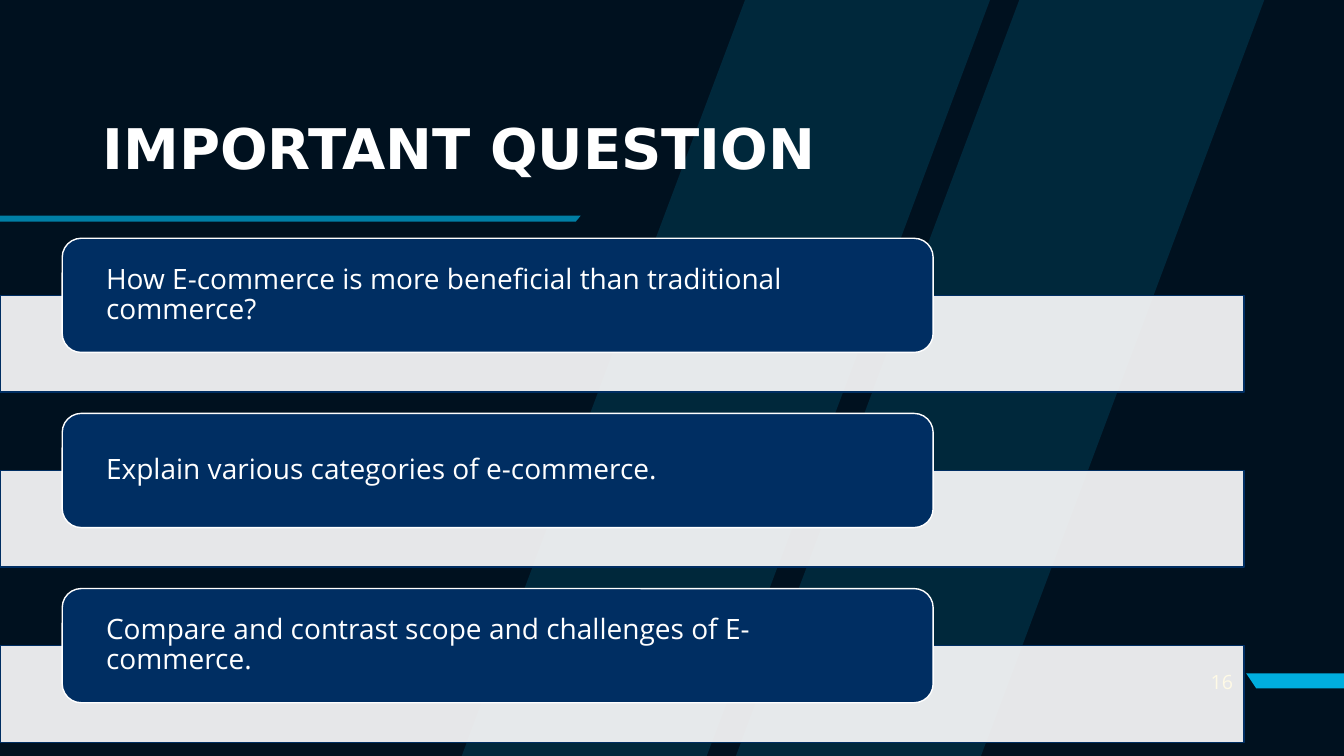
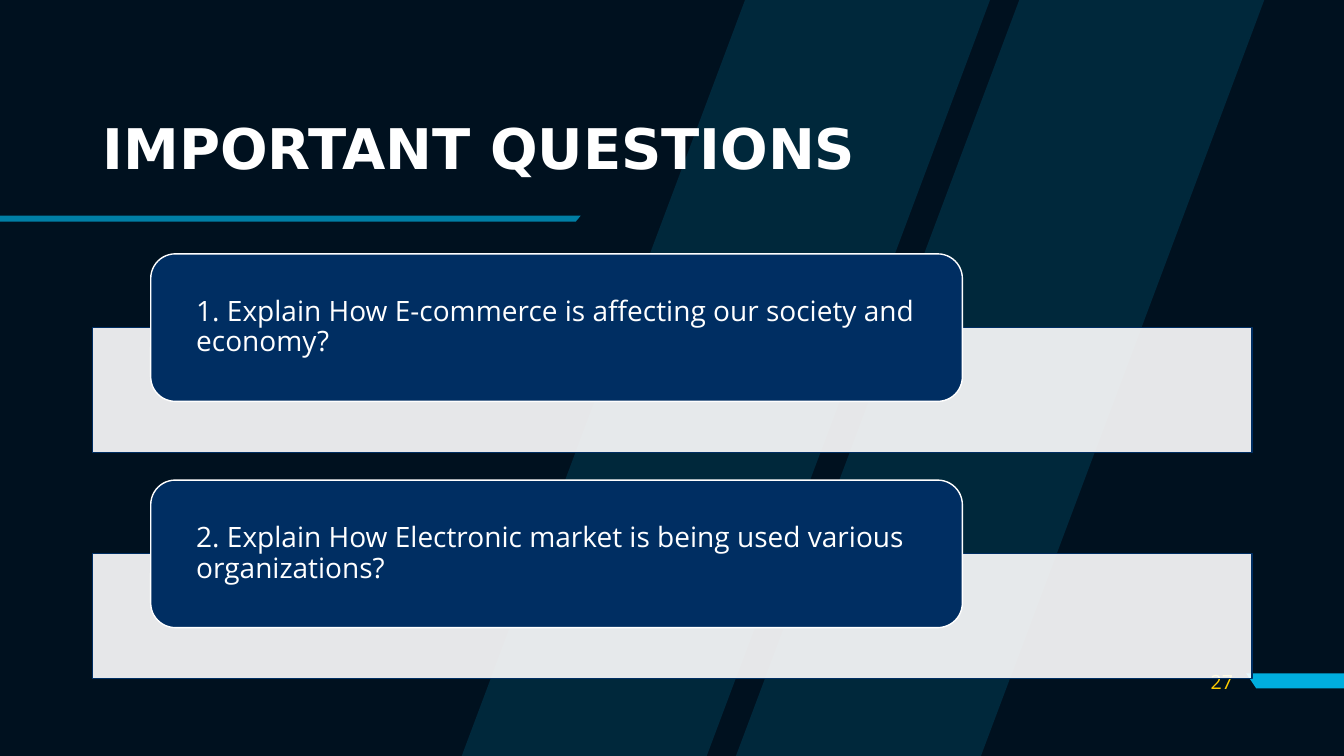
from lxml.etree import SubElement
from pptx import Presentation
from pptx.dml.color import RGBColor
from pptx.enum.shapes import MSO_SHAPE as SHAPE
from pptx.enum.text import MSO_ANCHOR as ANCHOR, MSO_AUTO_SIZE as AUTO, PP_ALIGN as ALIGN
from pptx.oxml.ns import qn
from pptx.util import Inches, Pt

NIGHT = RGBColor(0x00, 0x11, 0x1F)
CYAN = RGBColor(0x00, 0xAE, 0xDE)
NAVY = RGBColor(0x00, 0x2E, 0x62)
WHITE = RGBColor(0xFF, 0xFF, 0xFF)
YELLOW = RGBColor(0xFF, 0xCD, 0x00)

TITLE_FONT = {"name": "DejaVu Sans", "size": Pt(40), "bold": True}
BODY_FONT = {"name": "Open Sans", "size": Pt(20), "bold": False}
NUMBER_FONT = {"name": "Open Sans", "size": Pt(14), "bold": False}

STRIPES = [
    [(10.11, 0), (7.3, 7.5), (9.73, 7.5), (12.54, 0)],
    [(7.39, 0), (4.58, 7.5), (7.01, 7.5), (9.82, 0)],
]
NUMBER_TAB = [(13.34, 6.68), (13.34, 6.83), (12.46, 6.83), (12.36, 6.68)]
TITLE_RULE = [(0, 2.14), (0, 2.2), (5.71, 2.2), (5.76, 2.14)]

# Card and band proportions: heights relative to the band height,
# widths relative to the band width.
CARD_HEIGHT, CARD_RISE, ROW_PITCH = 1.18, 0.59, 1.81
CARD_INDENT, CARD_WIDTH = 0.05, 0.7

SLIDES = [
    {
        "title": "IMPORTANT QUESTION",
        "number": "16",
        "band": (0, 2.93, 12.34, 0.96),
        "questions": [
            "How E-commerce is more beneficial than traditional commerce?",
            "Explain various categories of e-commerce.",
            "Compare and contrast scope and challenges of E-commerce.",
        ],
    },
    {
        "title": "IMPORTANT QUESTIONS",
        "number": "27",
        "band": (0.92, 3.25, 11.5, 1.24),
        "questions": [
            "1. Explain How E-commerce is affecting our society and economy?",
            "2. Explain How Electronic market is being used various organizations?",
        ],
    },
]


def set_all(obj, values):
    for name, value in values.items():
        setattr(obj, name, value)


def paint(sp, color, opacity=100, line=None):
    sp.shadow.inherit = False
    sp.fill.solid()
    sp.fill.fore_color.rgb = color
    if opacity < 100:
        clr = sp.element.spPr.find(qn("a:solidFill")).find(qn("a:srgbClr"))
        SubElement(clr, qn("a:alpha"), val=str(opacity * 1000))
    if line is None:
        sp.line.fill.background()
    else:
        sp.line.color.rgb = line
        sp.line.width = Pt(1)


def write(sp, text, font, color, inset=0.1, anchor=ANCHOR.MIDDLE, align=ALIGN.LEFT, spacing=0.9):
    tf = sp.text_frame
    set_all(tf, {"word_wrap": True, "auto_size": AUTO.NONE, "vertical_anchor": anchor,
                 "margin_left": Inches(inset), "margin_right": Inches(inset)})
    p = tf.paragraphs[0]
    set_all(p, {"alignment": align, "line_spacing": spacing})
    r = p.add_run()
    r.text = text
    set_all(r.font, font)
    r.font.color.rgb = color


def add_polygons(s, polygons, opacity=100):
    """Draw the outlines as one cyan freeform."""
    fb = None
    for polygon in polygons:
        start, *rest = [(Inches(x), Inches(y)) for x, y in polygon]
        if fb is None:
            fb = s.shapes.build_freeform(*start)
        else:
            fb.move_to(*start)
        fb.add_line_segments(rest, close=True)
    sp = fb.convert_to_shape()
    paint(sp, CYAN, opacity)
    return sp


def decorate_layout(layout, s):
    """Draw the shared decoration on s, then move it to the layout."""
    layout.background.fill.solid()
    layout.background.fill.fore_color.rgb = NIGHT
    for polygons, opacity in ((STRIPES, 15), ([NUMBER_TAB], 100), ([TITLE_RULE], 70)):
        layout.shapes.element.append(add_polygons(s, polygons, opacity).element)


def add_title(s, text):
    title = s.shapes.title
    set_all(title, {"left": Inches(0.92), "top": Inches(0.4),
                    "width": Inches(11.5), "height": Inches(1.45)})
    write(title, text, TITLE_FONT, WHITE, anchor=ANCHOR.BOTTOM)


def add_number(s, number):
    sp = s.shapes.add_textbox(Inches(11.73), Inches(6.56), Inches(0.6), Inches(0.4))
    write(sp, number, NUMBER_FONT, YELLOW, align=ALIGN.RIGHT, spacing=1.0)


def add_question(s, text, left, top, width, height):
    """Add a pale band with a navy question card overlapping its top edge."""
    band = s.shapes.add_shape(SHAPE.RECTANGLE, Inches(left), Inches(top),
                              Inches(width), Inches(height))
    paint(band, WHITE, 90, NAVY)
    card = s.shapes.add_shape(
        SHAPE.ROUNDED_RECTANGLE,
        Inches(left + CARD_INDENT * width), Inches(top - CARD_RISE * height),
        Inches(CARD_WIDTH * width), Inches(CARD_HEIGHT * height))
    paint(card, NAVY, line=WHITE)
    write(card, text, BODY_FONT, WHITE, inset=0.38)


def main():
    prs = Presentation()
    prs.slide_width, prs.slide_height = Inches(13.33), Inches(7.5)
    layout = prs.slide_layouts[5]
    for i, content in enumerate(SLIDES):
        s = prs.slides.add_slide(layout)
        if i == 0:
            decorate_layout(layout, s)
        add_title(s, content["title"])
        add_number(s, content["number"])
        left, top, width, height = content["band"]
        for row, question in enumerate(content["questions"]):
            add_question(s, question, left, top + row * ROW_PITCH * height, width, height)
    prs.save("out.pptx")


if __name__ == "__main__":
    main()
